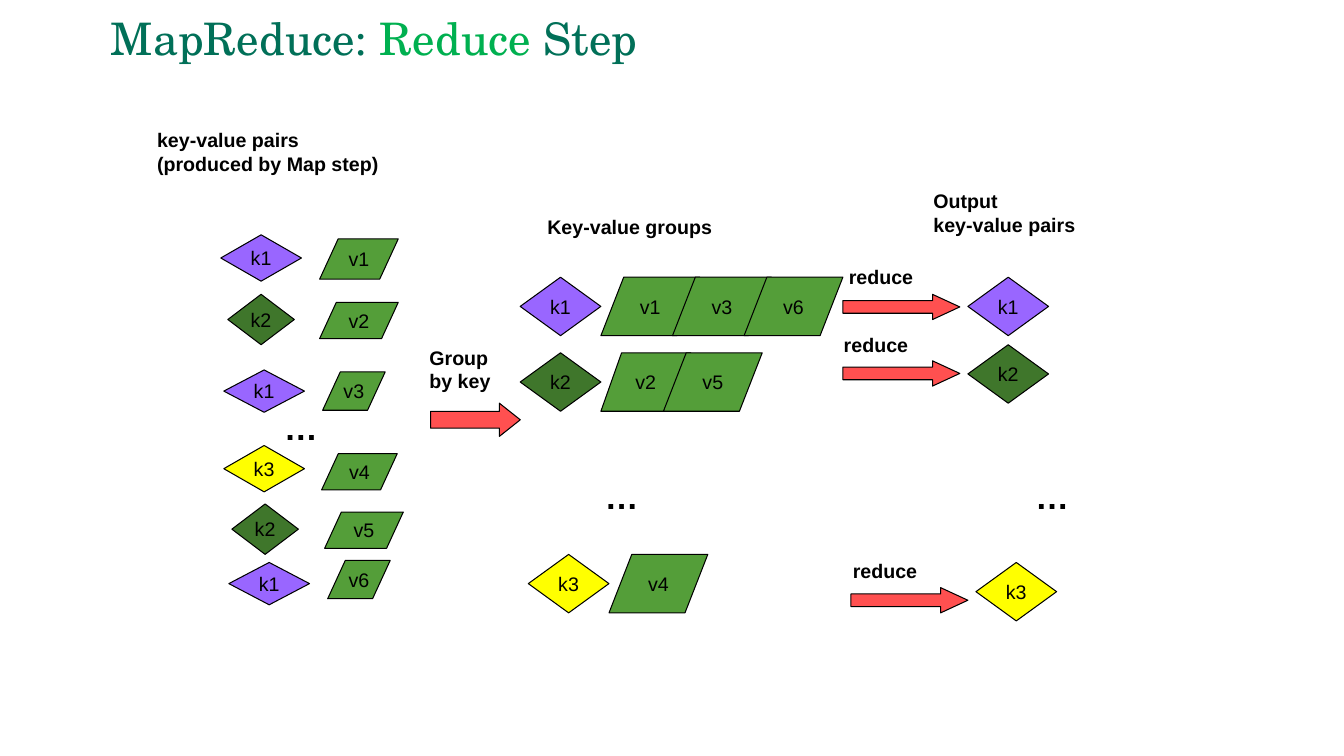
from pptx import Presentation
from pptx.dml.color import RGBColor
from pptx.enum.shapes import MSO_SHAPE
from pptx.enum.text import MSO_ANCHOR, MSO_AUTO_SIZE, PP_ALIGN
from pptx.util import Inches, Pt

DIAMOND = MSO_SHAPE.DIAMOND
PARALLELOGRAM = MSO_SHAPE.PARALLELOGRAM
RIGHT_ARROW = MSO_SHAPE.RIGHT_ARROW
MIDDLE = MSO_ANCHOR.MIDDLE
LEFT = PP_ALIGN.LEFT
CENTER = PP_ALIGN.CENTER
NO_AUTOFIT = MSO_AUTO_SIZE.NONE

BLACK = RGBColor(0x00, 0x00, 0x00)
TEAL = RGBColor(0x01, 0x70, 0x58)
BRIGHT_GREEN = RGBColor(0x00, 0xB0, 0x50)
VALUE_GREEN = RGBColor(0x54, 0x9E, 0x39)
ARROW_RED = RGBColor(0xFF, 0x50, 0x50)
KEY_COLORS = {
    "k1": RGBColor(0x99, 0x66, 0xFF),
    "k2": RGBColor(0x3F, 0x76, 0x2B),
    "k3": RGBColor(0xFF, 0xFF, 0x00),
}

TITLE_FONT = "TeX Gyre Schola"
BODY_FONT = "Arial"
KEY_WIDTH = 0.8
GROUP_HEIGHT = 0.58
GROUP_VALUE_WIDTH = 0.98
GROUP_SLANT = 0.39
PAIR_SLANT = 0.46

MAPPED_PAIRS = [
    ("k1", (2.19, 2.33, 0.8, 0.46), "v1", (3.17, 2.37, 0.78, 0.4)),
    ("k2", (2.26, 2.92, 0.66, 0.5), "v2", (3.17, 3, 0.78, 0.36)),
    ("k1", (2.22, 3.67, 0.8, 0.42), "v3", (3.2, 3.69, 0.62, 0.38)),
    ("k3", (2.22, 4.42, 0.8, 0.46), "v4", (3.19, 4.5, 0.75, 0.36)),
    ("k2", (2.3, 5, 0.66, 0.5), "v5", (3.22, 5.08, 0.78, 0.36)),
    ("k1", (2.27, 5.58, 0.8, 0.42), "v6", (3.25, 5.56, 0.62, 0.38)),
]
GROUPS = [
    ("k1", 5.16, 2.75, [("v1", 0, 0.98), ("v3", 0.71, 0.98), ("v6", 1.42, 0.98)]),
    ("k2", 5.16, 3.5, [("v2", 0, 0.89), ("v5", 0.62, 0.98)]),
    ("k3", 5.24, 5.5, [("v4", 0, 0.98)]),
]
REDUCTIONS = [
    ("k1", 8.36, 2.92, 8.32, 2.58, 2.75),
    ("k2", 8.36, 3.58, 8.27, 3.25, 3.42),
    ("k3", 8.44, 5.83, 8.36, 5.5, 5.58),
]
ELLIPSES = [(2.72, 3.99), (5.9, 4.67), (10.17, 4.67)]


def write_text(paragraph, text, font=BODY_FONT, size=14, color=BLACK, bold=False, align=LEFT):
    paragraph.alignment = align
    run = paragraph.add_run()
    run.text = text
    run.font.name = font
    run.font.size = Pt(size)
    run.font.color.rgb = color
    run.font.bold = bold


def add_title(slide):
    title = slide.shapes.title
    title.left, title.top, title.width, title.height = map(Inches, (1, 0.11, 10.8, 0.59))
    frame = title.text_frame
    frame.auto_size = NO_AUTOFIT
    frame.vertical_anchor = MIDDLE
    paragraph = frame.paragraphs[0]
    paragraph.line_spacing = 0.9
    for words, color in (("MapReduce: ", TEAL), ("Reduce ", BRIGHT_GREEN), ("Step", TEAL)):
        write_text(paragraph, words, font=TITLE_FONT, size=32, color=color)


def add_label(slide, lines, box, size=14, wrap=False):
    frame = slide.shapes.add_textbox(*map(Inches, box)).text_frame
    frame.word_wrap = wrap
    for index, line in enumerate(lines):
        paragraph = frame.add_paragraph() if index else frame.paragraphs[0]
        write_text(paragraph, line, size=size, bold=True)


def add_outlined(slide, preset, box, fill, adjustments=()):
    shape = slide.shapes.add_shape(preset, *map(Inches, box))
    shape.shadow.inherit = False
    shape.fill.solid()
    shape.fill.fore_color.rgb = fill
    shape.line.color.rgb = BLACK
    shape.line.width = Pt(0.75)
    for index, adjustment in enumerate(adjustments):
        shape.adjustments[index] = adjustment
    return shape


def add_caption(shape, text):
    frame = shape.text_frame
    frame.word_wrap = False
    frame.vertical_anchor = MIDDLE
    write_text(frame.paragraphs[0], text, align=CENTER)


def add_key(slide, key, box):
    add_caption(add_outlined(slide, DIAMOND, box, KEY_COLORS[key]), key)


def add_value(slide, value, box, slant):
    add_caption(add_outlined(slide, PARALLELOGRAM, box, VALUE_GREEN, [slant]), value)


def add_group(slide, key, left, top, values):
    add_key(slide, key, (left, top, KEY_WIDTH, GROUP_HEIGHT))
    for value, offset, width in values:
        slant = GROUP_SLANT * width / GROUP_VALUE_WIDTH
        value_left = left + KEY_WIDTH + offset
        add_value(slide, value, (value_left, top, width, GROUP_HEIGHT), slant)


def add_reduction(slide, key, left, top, label_left, label_top, key_top):
    add_outlined(slide, RIGHT_ARROW, (left, top, 1.16, 0.25), ARROW_RED, [0.5, 1.08])
    add_label(slide, ["reduce"], (label_left, label_top, 0.84, 0.34))
    add_key(slide, key, (left + 1.24, key_top, KEY_WIDTH, GROUP_HEIGHT))


def main():
    presentation = Presentation()
    presentation.slide_width = Inches(13.33)
    presentation.slide_height = Inches(7.5)
    slide = presentation.slides.add_slide(presentation.slide_layouts[5])

    add_title(slide)
    add_label(slide, ["key-value pairs", "(produced by Map step)"], (1.46, 1.22, 3.7, 0.57), wrap=True)
    add_label(slide, ["Key-value groups"], (5.33, 2.08, 2.76, 0.34), wrap=True)
    add_label(slide, ["Output", "key-value pairs"], (9.16, 1.83, 2.4, 0.57), wrap=True)

    for key, key_box, value, value_box in MAPPED_PAIRS:
        add_key(slide, key, key_box)
        add_value(slide, value, value_box, PAIR_SLANT)

    add_label(slide, ["Group", "by key"], (4.16, 3.38, 0.81, 0.57))
    add_outlined(slide, RIGHT_ARROW, (4.27, 4, 0.89, 0.33), ARROW_RED, [0.5, 0.63])

    for group in GROUPS:
        add_group(slide, *group)
    for reduction in REDUCTIONS:
        add_reduction(slide, *reduction)
    for left, top in ELLIPSES:
        add_label(slide, ["…"], (left, top, 0.54, 0.5), size=24)

    presentation.save("out.pptx")


if __name__ == "__main__":
    main()
